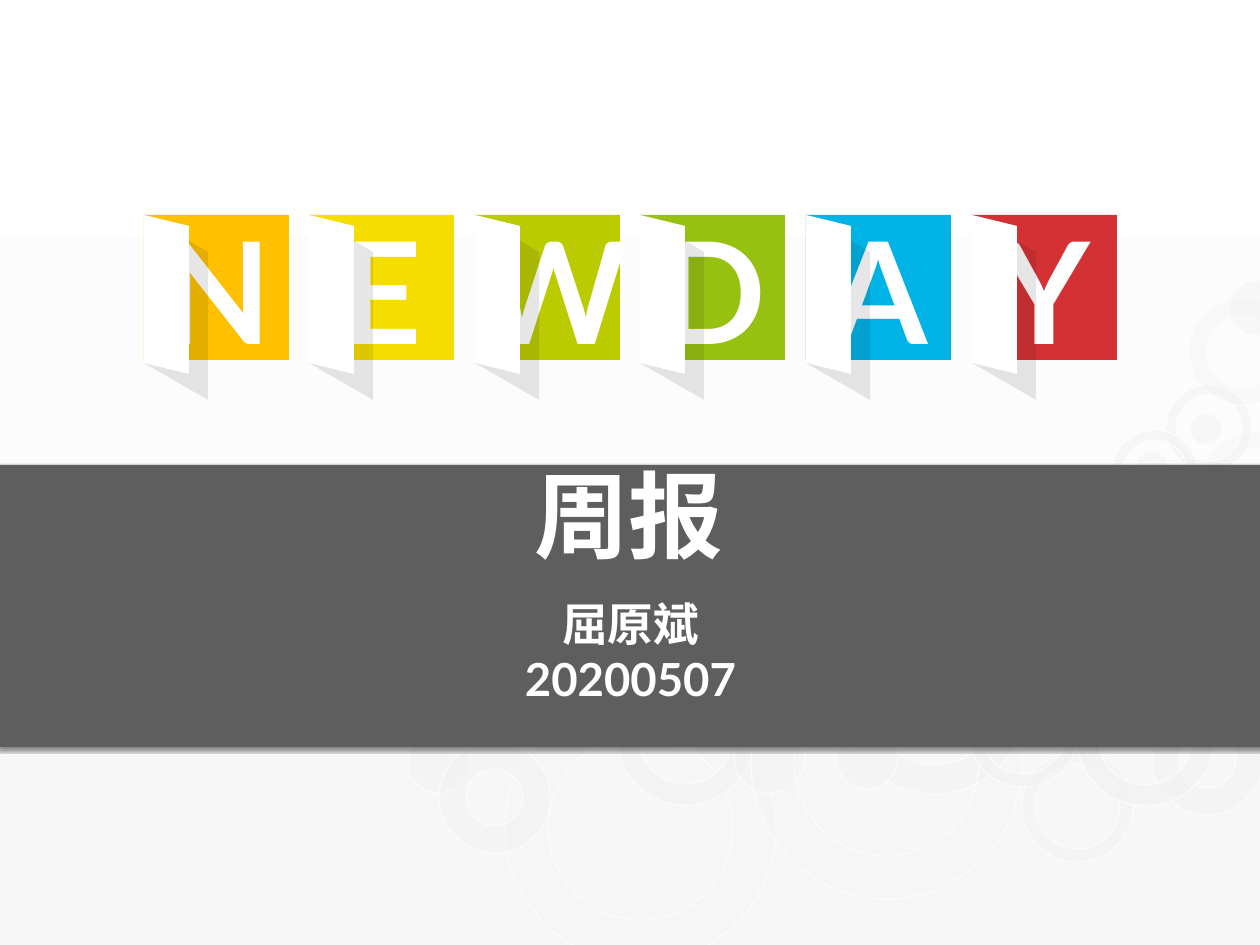
"""Build the weekly report cover slide with open-door letter tiles."""
from dataclasses import dataclass

from lxml import etree
from pptx import Presentation
from pptx.dml.color import RGBColor
from pptx.enum.shapes import MSO_SHAPE
from pptx.enum.text import MSO_ANCHOR, MSO_AUTO_SIZE, PP_ALIGN
from pptx.oxml.ns import qn
from pptx.util import Pt

RECTANGLE, DONUT, OVAL = MSO_SHAPE.RECTANGLE, MSO_SHAPE.DONUT, MSO_SHAPE.OVAL
CENTER, TOP, MIDDLE = PP_ALIGN.CENTER, MSO_ANCHOR.TOP, MSO_ANCHOR.MIDDLE
FIXED, GROW = MSO_AUTO_SIZE.NONE, MSO_AUTO_SIZE.SHAPE_TO_FIT_TEXT

EMU_PER_PIXEL = 10320
SLIDE_WIDTH, SLIDE_HEIGHT = 1260, 945
COLORS = {
    "white": "FFFFFF", "mist": "F7F7F7", "ring": "F2F2F2", "band": "5E5E5E",
    "shade": "0D0D0D", "black": "000000", "orange": "FFC000", "yellow": "F5DD00",
    "lime": "BACB00", "green": "96C110", "blue": "00B3E6", "red": "D43135",
}
FONT_FORMAT = {"name": "Lato", "bold": True}
INSET = 4
TILE_LEFT, TILE_TOP, TILE_SIZE = 144, 215, 145
TILE_SPAN = 828
DOOR = ((0, 215), (45, 226), (45, 374), (0, 363))
DOOR_SHADE = ((0, 214), (64, 252), (64, 400), (0, 363))


@dataclass(frozen=True)
class Box:
    """Hold a rectangle in pixels."""
    left: int
    top: int
    width: int
    height: int


@dataclass(frozen=True)
class Ring:
    """Describe a background circle; zero thickness makes it a full disc."""
    left: int
    top: int
    size: int
    opacity: int
    thickness: int = 0


@dataclass(frozen=True)
class Tile:
    """Describe a letter tile."""
    letter: str
    color: str


@dataclass(frozen=True)
class Label:
    """Describe a centred text box."""
    box: Box
    lines: tuple
    size: int
    anchor: object = TOP
    auto_size: object = FIXED
    line_spacing: object = None


RINGS = (
    Ring(1202, 431, 107, 31, 17), Ring(505, 692, 271, 13, 43),
    Ring(1022, 751, 111, 54, 13), Ring(1166, 385, 86, 54, 10),
    Ring(1136, 450, 32, 47), Ring(843, 611, 183, 42, 29),
    Ring(617, 668, 137, 75, 21), Ring(734, 722, 71, 39),
    Ring(751, 628, 271, 13, 43), Ring(968, 676, 111, 54, 13),
    Ring(1152, 704, 111, 54, 27), Ring(408, 731, 62, 47),
    Ring(670, 717, 32, 47), Ring(1077, 669, 137, 75, 21),
    Ring(1189, 298, 107, 31, 17), Ring(1229, 280, 56, 47),
    Ring(1021, 462, 271, 13, 43), Ring(1112, 430, 86, 54, 10),
    Ring(439, 742, 111, 54, 27), Ring(1190, 413, 32, 47),
    Ring(836, 727, 62, 47),
)
TILES = (
    Tile("N", "orange"), Tile("E", "yellow"), Tile("W", "lime"),
    Tile("D", "green"), Tile("A", "blue"), Tile("Y", "red"),
)
LABELS = (
    Label(Box(361, 474, 536, 95), ("周报",), 77, line_spacing=Pt(75)),
    Label(Box(486, 592, 289, 145), ("屈原斌", "20200507"), 37),
)


def emu(pixels: int) -> int:
    """Convert pixels to EMU."""
    return pixels * EMU_PER_PIXEL


def place(box: Box) -> tuple:
    """Return the box in EMU."""
    return tuple(map(emu, (box.left, box.top, box.width, box.height)))


def rgb(color: str) -> RGBColor:
    """Look up a named colour."""
    return RGBColor.from_string(COLORS[color])


def set_format(target, values: dict) -> None:
    """Set each attribute in the dict on the target."""
    for name, value in values.items():
        setattr(target, name, value)


def set_opacity(fill_parent, percent: int) -> None:
    """Make the solid fill of an element partly transparent."""
    color = fill_parent.find(qn("a:solidFill"))[0]
    etree.SubElement(color, qn("a:alpha"), val=str(percent * 1000))


def paint(shape, color: str, opacity: int = 100) -> None:
    """Give a shape a flat fill without line or shadow."""
    shape.shadow.inherit = False
    shape.fill.solid()
    shape.fill.fore_color.rgb = rgb(color)
    shape.line.fill.background()
    if opacity < 100:
        set_opacity(shape.element.spPr, opacity)


def draw_ring(slide, ring: Ring) -> None:
    """Draw a faint ring or disc with a pale outline."""
    box = Box(ring.left, ring.top, ring.size, ring.size)
    shape = slide.shapes.add_shape(DONUT if ring.thickness else OVAL, *place(box))
    if ring.thickness:
        shape.adjustments[0] = ring.thickness / ring.size
    paint(shape, "ring", ring.opacity)
    shape.line.color.rgb = rgb("white")
    shape.line.width = Pt(1)
    set_opacity(shape.element.spPr.find(qn("a:ln")), 70)


def draw_band(slide) -> None:
    """Draw the dark title band with a soft shadow below it."""
    shape = slide.shapes.add_shape(RECTANGLE, *place(Box(-3, 465, 1265, 282)))
    paint(shape, "band")
    effects = shape.element.spPr.find(qn("a:effectLst"))
    shadow = etree.SubElement(effects, qn("a:outerShdw"), blurRad=str(Pt(3)),
                              dist=str(Pt(2)), dir="5400000", rotWithShape="0")
    color = etree.SubElement(shadow, qn("a:srgbClr"), val=COLORS["black"])
    etree.SubElement(color, qn("a:alpha"), val="48000")


def draw_label(slide, label: Label) -> None:
    """Draw a text box with one paragraph per line."""
    frame = slide.shapes.add_textbox(*place(label.box)).text_frame
    margins = {f"margin_{side}": emu(INSET) for side in ("left", "top", "right", "bottom")}
    set_format(frame, {"word_wrap": True, "auto_size": label.auto_size,
                       "vertical_anchor": label.anchor, **margins})
    frame.text = "\n".join(label.lines)
    for paragraph in frame.paragraphs:
        set_format(paragraph, {"alignment": CENTER, "line_spacing": label.line_spacing})
        font = paragraph.runs[0].font
        set_format(font, {**FONT_FORMAT, "size": Pt(label.size)})
        font.color.rgb = rgb("white")


def draw_panel(slide, left: int, outline: tuple, color: str, opacity: int = 100) -> None:
    """Draw a slanted panel hinged at the left edge of a tile."""
    points = [(left + x, y) for x, y in outline]
    builder = slide.shapes.build_freeform(*points[0], scale=float(EMU_PER_PIXEL))
    builder.add_line_segments(points[1:], close=True)
    paint(builder.convert_to_shape(), color, opacity)


def draw_tile(slide, left: int, tile: Tile) -> None:
    """Draw a coloured letter tile with its open door."""
    square = Box(left, TILE_TOP, TILE_SIZE, TILE_SIZE)
    paint(slide.shapes.add_shape(RECTANGLE, *place(square)), tile.color)
    draw_label(slide, Label(Box(left, 198, TILE_SIZE, 179), (tile.letter,), 115, MIDDLE, GROW))
    draw_panel(slide, left, DOOR_SHADE, "shade", 10)
    draw_panel(slide, left, DOOR, "white")


def draw_background(slide) -> None:
    """Fill the slide with a gradient from white down to mist."""
    fill = slide.background.fill
    fill.gradient()
    fill.gradient_angle = 270
    for stop, position, color in zip(fill.gradient_stops, (0, 1), ("white", "mist")):
        stop.position = position
        stop.color.rgb = rgb(color)


def main() -> None:
    """Build and save the presentation."""
    presentation = Presentation()
    set_format(presentation, {"slide_width": emu(SLIDE_WIDTH), "slide_height": emu(SLIDE_HEIGHT)})
    slide = presentation.slides.add_slide(presentation.slide_layouts[6])
    draw_background(slide)
    for ring in RINGS:
        draw_ring(slide, ring)
    draw_band(slide)
    for label in LABELS:
        draw_label(slide, label)
    for index, tile in enumerate(TILES):
        draw_tile(slide, TILE_LEFT + index * TILE_SPAN // (len(TILES) - 1), tile)
    presentation.save("out.pptx")


main()
